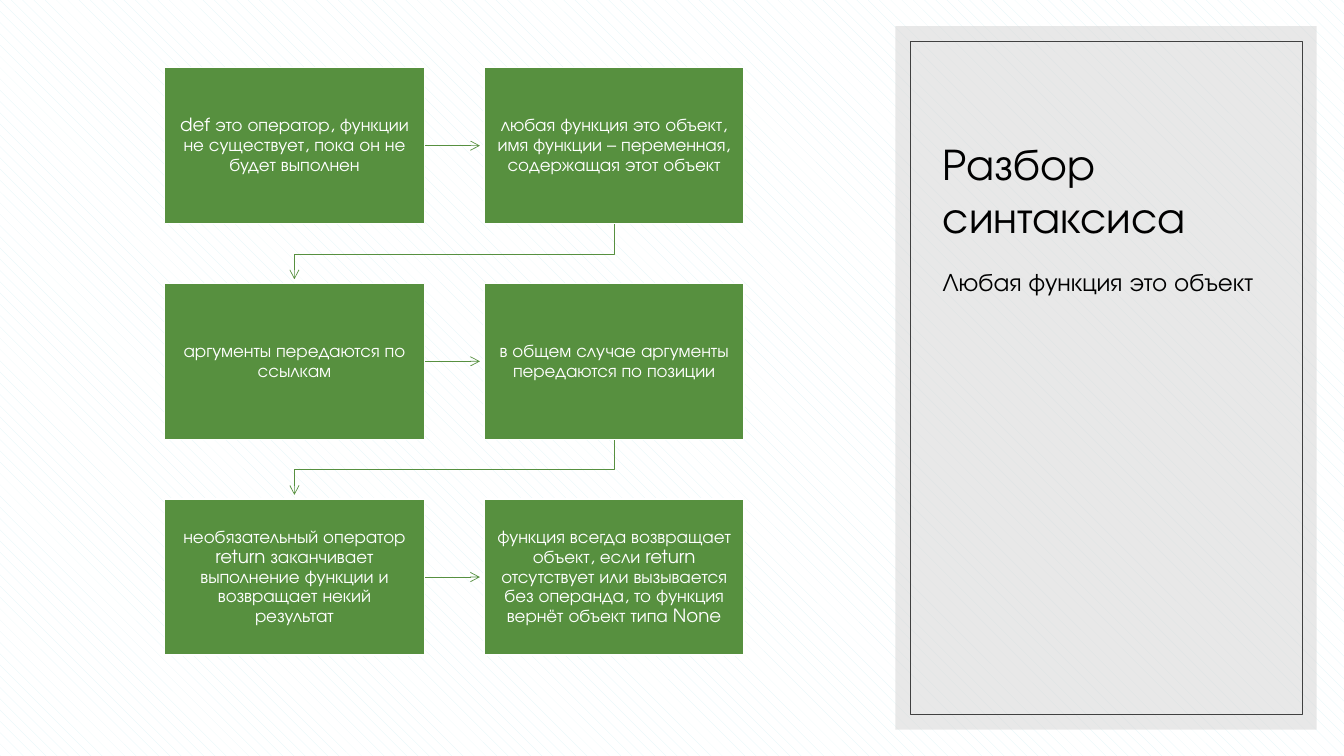
"""Build the slide on function syntax: a flow of six statements beside a title panel."""
from dataclasses import dataclass
from itertools import pairwise

from lxml import etree
from pptx import Presentation
from pptx import util as u
from pptx.dml.color import RGBColor
from pptx.enum import dml, shapes, text
from pptx.oxml.ns import qn


@dataclass(frozen=True)
class Theme:
    font: str = "TeX Gyre Adventor"
    green: RGBColor = RGBColor(0x57, 0x90, 0x3F)
    white: RGBColor = RGBColor(0xFF, 0xFF, 0xFF)
    black: RGBColor = RGBColor(0, 0, 0)
    panel: RGBColor = RGBColor(0xD9, 0xD9, 0xD9)
    frame: RGBColor = RGBColor(0x40, 0x40, 0x40)
    pattern: RGBColor = RGBColor(0xDE, 0xF4, 0xF7)
    title_size: int = 32
    subtitle_size: int = 18
    step_size: int = 13
    thin: float = 0.5
    box_line: float = 1


@dataclass(frozen=True)
class Box:
    left: float
    top: float
    width: float
    height: float

    @property
    def right(self) -> float:
        return self.left + self.width

    @property
    def bottom(self) -> float:
        return self.top + self.height

    @property
    def center(self) -> float:
        return self.left + self.width / 2

    @property
    def middle(self) -> float:
        return self.top + self.height / 2

    def lengths(self) -> list[u.Length]:
        return [u.Inches(n) for n in (self.left, self.top, self.width, self.height)]


THEME = Theme()
PANEL = Box(8.88, 0.26, 4.18, 6.98)
FRAME = Box(9.03, 0.41, 3.89, 6.68)
TITLE = Box(9.25, 0.66, 3.46, 1.8)
SUBTITLE = Box(9.25, 2.56, 3.46, 3.94)
COLUMNS = 2
FIRST_STEP = Box(1.63, 0.67, 2.58, 1.55)
COLUMN_PITCH, ROW_PITCH = 3.17, 2.14
ARROW_GAP = 0.04
BEND_DROP = 0.3
STEP_INSET = 0.13
STEPS = (
    "def это оператор, функции не существует, пока он не будет выполнен",
    "любая функция это объект, имя функции – переменная, содержащая этот объект",
    "аргументы передаются по ссылкам",
    "в общем случае аргументы передаются по позиции",
    "необязательный оператор return заканчивает выполнение функции и возвращает некий результат",
    "функция всегда возвращает объект, если return отсутствует или вызывается без операнда, "
    "то функция вернёт объект типа None",
)


def write(frame, words: str, size: int, color: RGBColor):
    """Put one styled run in a text frame and return its paragraph."""
    frame.word_wrap = True
    paragraph = frame.paragraphs[0]
    run = paragraph.add_run()
    run.text = words
    run.font.name = THEME.font
    run.font.size = u.Pt(size)
    run.font.color.rgb = color
    return paragraph


def add_rectangle(slide, box: Box):
    """Add a rectangle without shadow."""
    shape = slide.shapes.add_shape(shapes.MSO_SHAPE.RECTANGLE, *box.lengths())
    shape.shadow.inherit = False
    return shape


def add_panel(slide) -> None:
    """Draw the translucent panel and its thin frame."""
    panel = add_rectangle(slide, PANEL)
    panel.fill.solid()
    panel.fill.fore_color.rgb = THEME.panel
    panel.line.fill.background()
    color = panel.element.spPr.find(f"{qn('a:solidFill')}/{qn('a:srgbClr')}")
    etree.SubElement(color, qn("a:alpha"), val="60000")
    frame = add_rectangle(slide, FRAME)
    frame.fill.background()
    frame.line.color.rgb = THEME.frame
    frame.line.width = u.Pt(THEME.thin)


def add_headings(slide) -> None:
    """Write the title and the subtitle on the panel."""
    title = slide.shapes.add_textbox(*TITLE.lengths()).text_frame
    title.vertical_anchor = text.MSO_ANCHOR.BOTTOM
    write(title, "Разбор синтаксиса", THEME.title_size, THEME.black)
    subtitle = slide.shapes.add_textbox(*SUBTITLE.lengths()).text_frame
    paragraph = write(subtitle, "Любая функция это объект", THEME.subtitle_size, THEME.black)
    paragraph.line_spacing = 1.1
    paragraph.space_before = u.Pt(8)


def add_step(slide, box: Box, words: str) -> None:
    """Draw one green box with its statement."""
    shape = add_rectangle(slide, box)
    shape.fill.solid()
    shape.fill.fore_color.rgb = THEME.green
    shape.line.color.rgb = THEME.white
    shape.line.width = u.Pt(THEME.box_line)
    frame = shape.text_frame
    frame.vertical_anchor = text.MSO_ANCHOR.MIDDLE
    frame.margin_left = frame.margin_right = u.Inches(STEP_INSET)
    frame.margin_top = frame.margin_bottom = u.Inches(STEP_INSET)
    paragraph = write(frame, words, THEME.step_size, THEME.white)
    paragraph.alignment = text.PP_ALIGN.CENTER
    paragraph.line_spacing = 0.9


def style_arrow(arrow) -> None:
    """Give a line its colour, width and open arrowhead, and no shadow."""
    arrow.line.color.rgb = THEME.green
    arrow.line.width = u.Pt(THEME.thin)
    properties = arrow.element.spPr
    etree.SubElement(properties.find(qn("a:ln")), qn("a:tailEnd"), type="arrow")
    etree.SubElement(properties, qn("a:effectLst"))


def add_arrow(slide, source: Box, target: Box) -> None:
    """Join two steps, straight within a row and bent between rows."""
    if source.top == target.top:
        ends = (source.right, source.middle, target.left - ARROW_GAP, target.middle)
        arrow = slide.shapes.add_connector(
            shapes.MSO_CONNECTOR.STRAIGHT, *(u.Inches(n) for n in ends)
        )
    else:
        bend = source.bottom + BEND_DROP
        corners = (
            (source.center, bend),
            (target.center, bend),
            (target.center, target.top - ARROW_GAP),
        )
        builder = slide.shapes.build_freeform(u.Inches(source.center), u.Inches(source.bottom))
        builder.add_line_segments([(u.Inches(x), u.Inches(y)) for x, y in corners], close=False)
        arrow = builder.convert_to_shape()
        arrow.fill.background()
    style_arrow(arrow)


def step_box(index: int) -> Box:
    """Place a step in the grid."""
    row, column = divmod(index, COLUMNS)
    return Box(
        FIRST_STEP.left + column * COLUMN_PITCH,
        FIRST_STEP.top + row * ROW_PITCH,
        FIRST_STEP.width,
        FIRST_STEP.height,
    )


def main() -> None:
    """Build and save the slide."""
    presentation = Presentation()
    presentation.slide_width, presentation.slide_height = u.Inches(13.33), u.Inches(7.5)
    slide = presentation.slides.add_slide(presentation.slide_layouts[6])
    background = slide.background.fill
    background.patterned()
    background.pattern = dml.MSO_PATTERN.SHINGLE
    background.fore_color.rgb = THEME.pattern
    background.back_color.rgb = THEME.white
    add_panel(slide)
    add_headings(slide)
    boxes = [step_box(index) for index in range(len(STEPS))]
    for source, target in pairwise(boxes):
        add_arrow(slide, source, target)
    for box, words in zip(boxes, STEPS):
        add_step(slide, box, words)
    presentation.save("out.pptx")


main()
